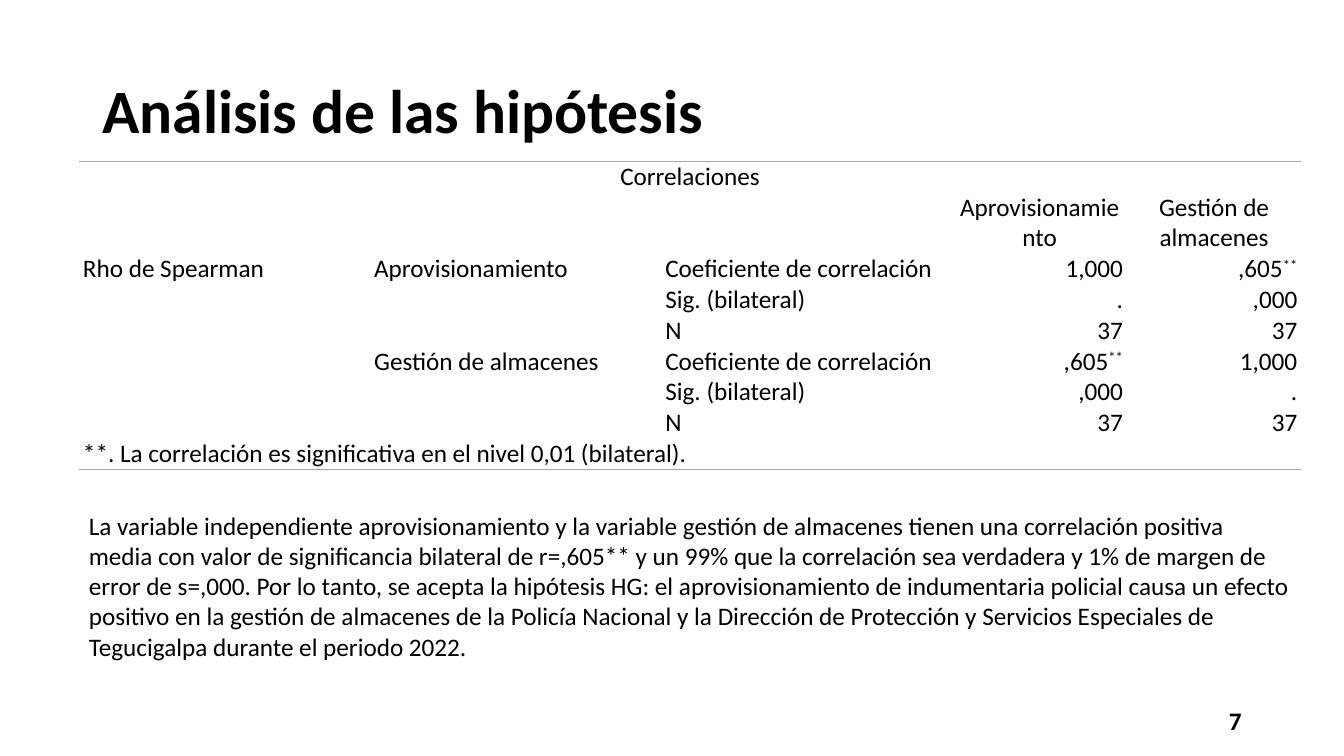
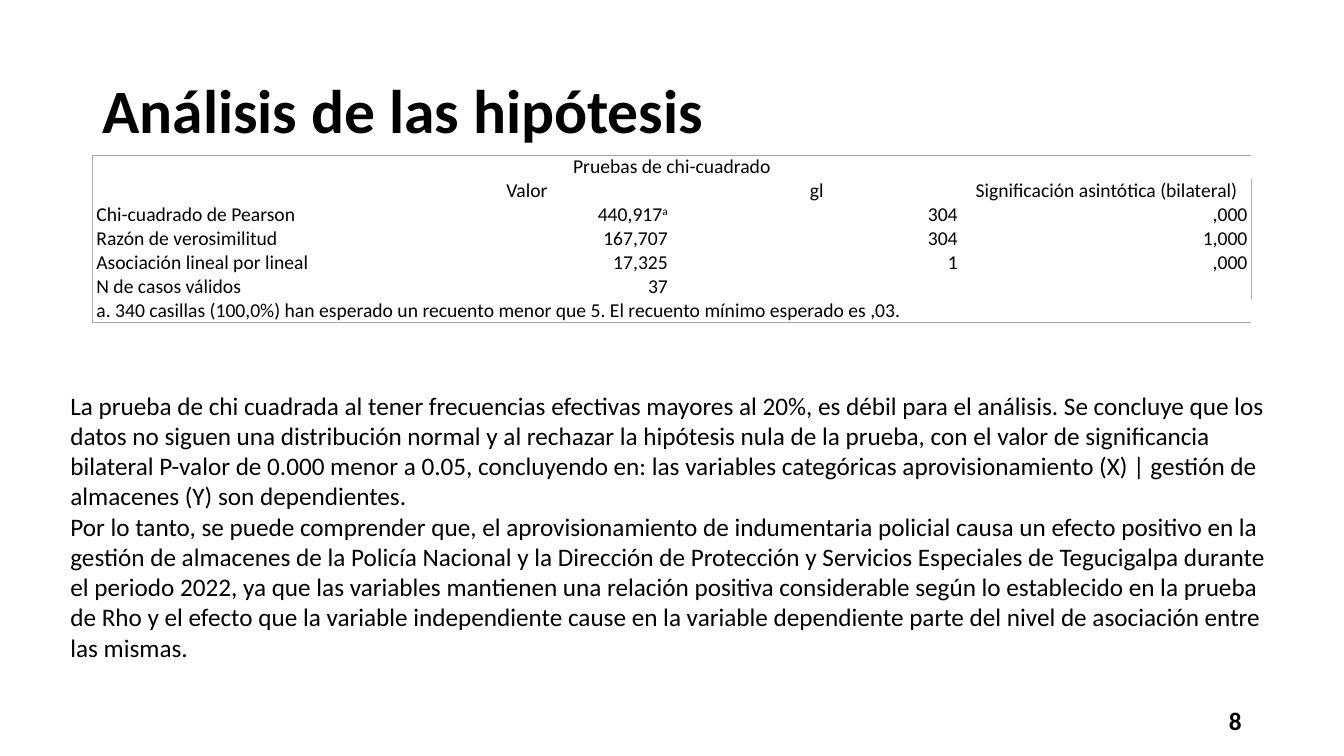
from lxml import etree
from pptx import Presentation
from pptx.dml.color import RGBColor
from pptx.enum import text as t
from pptx.oxml import ns
from pptx.util import Pt

# Shared look
BLACK = RGBColor(0x00, 0x00, 0x00)
GREY = RGBColor(0xA5, 0xA5, 0xA5)
BODY = {"name": "Calibri", "size": Pt(18), "bold": False}
SMALL = BODY | {"size": Pt(14)}
NUMBER = BODY | {"bold": True}
TITLE = NUMBER | {"size": Pt(44)}
LEFT, CENTER, RIGHT = t.PP_ALIGN.LEFT, t.PP_ALIGN.CENTER, t.PP_ALIGN.RIGHT
TOP, MIDDLE, BOTTOM = t.MSO_ANCHOR.TOP, t.MSO_ANCHOR.MIDDLE, t.MSO_ANCHOR.BOTTOM
CELL_MARGINS = {"margin_left": Pt(2.88), "margin_right": Pt(2.88),
                "margin_top": 0, "margin_bottom": 0}
NO_STYLE = "{2D5ABB26-0587-4C30-8999-92F81FD0307C}"

# Content: "^" marks the start of a superscript
TITLE_TEXT = "Análisis de las hipótesis"
CORRELATIONS = [
    ["Correlaciones", "", "", "", ""],
    ["", "", "", "Aprovisionamiento", "Gestión de almacenes"],
    ["Rho de Spearman", "Aprovisionamiento", "Coeficiente de correlación", "1,000", ",605^**"],
    ["", "", "Sig. (bilateral)", ".", ",000"],
    ["", "", "N", "37", "37"],
    ["", "Gestión de almacenes", "Coeficiente de correlación", ",605^**", "1,000"],
    ["", "", "Sig. (bilateral)", ",000", "."],
    ["", "", "N", "37", "37"],
    ["**. La correlación es significativa en el nivel 0,01 (bilateral).", "", "", "", ""],
]
CHI_SQUARE = [
    ["Pruebas de chi-cuadrado", "", "", ""],
    ["", "Valor", "gl", "Significación asintótica (bilateral)"],
    ["Chi-cuadrado de Pearson", "440,917^a", "304", ",000"],
    ["Razón de verosimilitud", "167,707", "304", "1,000"],
    ["Asociación lineal por lineal", "17,325", "1", ",000"],
    ["N de casos válidos", "37", "", ""],
    ["a. 340 casillas (100,0%) han esperado un recuento menor que 5. "
     "El recuento mínimo esperado es ,03.", "", "", ""],
]
CORRELATION_TEXT = [
    "La variable independiente aprovisionamiento y la variable gestión de almacenes tienen una "
    "correlación positiva media con valor de significancia bilateral de r=,605** y un 99% que la "
    "correlación sea verdadera y 1% de margen de error de s=,000. Por lo tanto, se acepta la "
    "hipótesis HG: el aprovisionamiento de indumentaria policial causa un efecto positivo en la "
    "gestión de almacenes de la Policía Nacional y la Dirección de Protección y Servicios "
    "Especiales de Tegucigalpa durante el periodo 2022.",
]
CHI_SQUARE_TEXT = [
    "La prueba de chi cuadrada al tener frecuencias efectivas mayores al 20%, es débil para el "
    "análisis. Se concluye que los datos no siguen una distribución normal y al rechazar la "
    "hipótesis nula de la prueba, con el valor de significancia bilateral P-valor de 0.000 menor "
    "a 0.05, concluyendo en: las variables categóricas aprovisionamiento (X) | gestión de "
    "almacenes (Y) son dependientes.",
    "Por lo tanto, se puede comprender que, el aprovisionamiento de indumentaria policial causa "
    "un efecto positivo en la gestión de almacenes de la Policía Nacional y la Dirección de "
    "Protección y Servicios Especiales de Tegucigalpa durante el periodo 2022, ya que las "
    "variables mantienen una relación positiva considerable según lo establecido en la prueba de "
    "Rho y el efecto que la variable independiente cause en la variable dependiente parte del "
    "nivel de asociación entre las mismas.",
]


def set_attributes(target, values):
    for name, value in values.items():
        setattr(target, name, value)


def write(paragraph, content, font, alignment=LEFT):
    """Write a paragraph; what follows "^" is raised."""
    paragraph.alignment = alignment
    for index, part in enumerate(content.split("^")):
        run = paragraph.add_run()
        run.text = part
        set_attributes(run.font, font)
        run.font.color.rgb = BLACK
        if index:
            run.font._element.set("baseline", "30000")


def add_text(slide, box, paragraphs, font, alignment=LEFT, **frame_format):
    frame = slide.shapes.add_textbox(*map(Pt, box)).text_frame
    set_attributes(frame, {"word_wrap": True} | frame_format)
    for index, content in enumerate(paragraphs):
        paragraph = frame.add_paragraph() if index else frame.paragraphs[0]
        write(paragraph, content, font, alignment)


def add_base(presentation, number):
    """Add a slide with its title and number."""
    slide = presentation.slides.add_slide(presentation.slide_layouts[5])
    title = slide.shapes.title
    set_attributes(title, {"left": Pt(66), "top": Pt(28.8),
                           "width": Pt(828), "height": Pt(104.4)})
    set_attributes(title.text_frame, {"vertical_anchor": MIDDLE, "word_wrap": True,
                                      "auto_size": t.MSO_AUTO_SIZE.NONE})
    paragraph = title.text_frame.paragraphs[0]
    paragraph.line_spacing = 0.9
    write(paragraph, TITLE_TEXT, TITLE)
    add_text(slide, (678, 500.5, 216, 28.75), [str(number)], NUMBER, RIGHT,
             vertical_anchor=MIDDLE)
    return slide


def set_borders(cell, sides, width):
    """Draw the named sides (out of L, R, T, B) in grey, and hide the others."""
    properties = cell._tc.get_or_add_tcPr()
    for index, side in enumerate("LRTB"):
        line = etree.Element(ns.qn(f"a:ln{side}"), w=str(Pt(width)))
        if side in sides:
            fill = etree.SubElement(line, ns.qn("a:solidFill"))
            etree.SubElement(fill, ns.qn("a:srgbClr"), val=str(GREY))
        else:
            etree.SubElement(line, ns.qn("a:noFill"))
        properties.insert(index, line)


def cell_layout(row, column, last_row, label_columns):
    """Return the alignment and anchor that a cell's place calls for."""
    if row == 0:
        return CENTER, MIDDLE
    if row == 1:
        return CENTER, BOTTOM
    if row == last_row or column < label_columns:
        return LEFT, TOP
    return RIGHT, TOP


def add_statistics(slide, position, rows, widths, heights, label_columns, spans,
                   font, frame_sides, line_width):
    last_row, last_column = len(rows) - 1, len(widths) - 1
    size = sum(widths), sum(heights)
    table = slide.shapes.add_table(len(rows), len(widths),
                                   *map(Pt, position + size)).table
    set_attributes(table, {"first_row": False, "horz_banding": False})
    table._tbl.tblPr.find(ns.qn("a:tableStyleId")).text = NO_STYLE
    for column, width in zip(table.columns, widths):
        column.width = Pt(width)
    for row, height in zip(table.rows, heights):
        row.height = Pt(height)

    for row, contents in enumerate(rows):
        for column, content in enumerate(contents):
            cell = table.cell(row, column)
            alignment, anchor = cell_layout(row, column, last_row, label_columns)
            set_attributes(cell, CELL_MARGINS | {"vertical_anchor": anchor})
            cell.fill.background()
            edges = {"L": column == 0, "R": column == last_column,
                     "T": row == 0, "B": row == last_row}
            set_borders(cell, [side for side in frame_sides if edges[side]], line_width)
            paragraph = cell.text_frame.paragraphs[0]
            if content:
                write(paragraph, content, font, alignment)
            else:  # keeps empty cells from stretching their row
                etree.SubElement(paragraph._p, ns.qn("a:endParaRPr"),
                                 sz=str(int(font["size"].pt * 100)))

    full_rows = [(row, 0, row, last_column) for row in (0, last_row)]
    for top, left, bottom, right in full_rows + spans:
        table.cell(top, left).merge(table.cell(bottom, right))


def main():
    presentation = Presentation()
    set_attributes(presentation, {"slide_width": Pt(960), "slide_height": Pt(540)})
    grow = t.MSO_AUTO_SIZE.SHAPE_TO_FIT_TEXT

    # Spearman correlations
    slide = add_base(presentation, 7)
    add_statistics(slide, (56.4, 115.2), CORRELATIONS, [208] * 3 + [124.6] * 2,
                   [22, 44] + [22] * 7, 3,
                   [(1, 0, 1, 2), (2, 0, 7, 0), (2, 1, 4, 1), (5, 1, 7, 1)],
                   BODY, "TB", 1)
    add_text(slide, (56.4, 360.7, 873.4, 116.6), CORRELATION_TEXT, BODY, auto_size=grow)

    # Chi-square tests
    slide = add_base(presentation, 8)
    add_statistics(slide, (66, 110.9), CHI_SQUARE, [207] * 4, [17.1] * 7, 1, [],
                   SMALL, "LRTB", 0.5)
    add_text(slide, (43.2, 275, 873.4, 225.4), CHI_SQUARE_TEXT, BODY, auto_size=grow)

    presentation.save("out.pptx")


if __name__ == "__main__":
    main()
